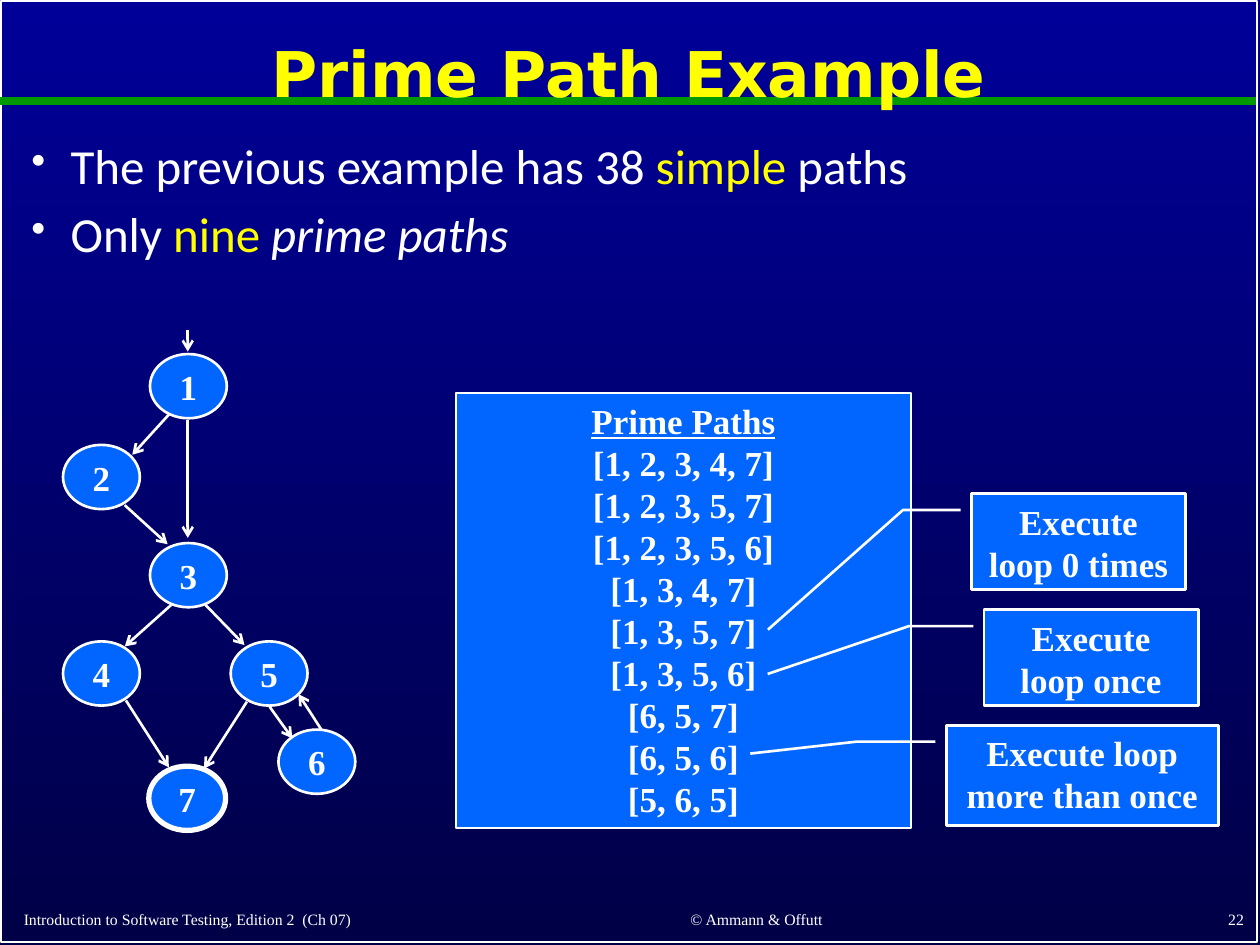
from lxml import etree
from pptx import Presentation
from pptx.dml import color
from pptx.enum import shapes, text
from pptx.oxml import ns
from pptx.util import Pt

WHITE, YELLOW, GREEN, BLUE = "FFFFFF", "FFFF00", "009900", "0066FF"
SERIF = "Times New Roman"
LEFT, CENTER, RIGHT = text.PP_ALIGN.LEFT, text.PP_ALIGN.CENTER, text.PP_ALIGN.RIGHT
TOP, MIDDLE, BOTTOM = text.MSO_ANCHOR.TOP, text.MSO_ANCHOR.MIDDLE, text.MSO_ANCHOR.BOTTOM


def rgb(hex_color):
    return color.RGBColor.from_string(hex_color)


def add_xml(parent, tag, **attrs):
    return etree.SubElement(parent, ns.qn(tag), attrs)


class Deck:
    """Holds the text style and the current slide."""

    def __init__(self, width, height, font=SERIF, size=20):
        self.prs = Presentation()
        self.prs.slide_width, self.prs.slide_height = Pt(width), Pt(height)
        self.s = self.prs.slides.add_slide(self.prs.slide_layouts[6])
        self.font, self.size = font, size

    def background(self, top, bottom):
        fill = self.s.background.fill
        fill.gradient()
        fill.gradient_angle = 270
        for stop, c in zip(fill.gradient_stops, (top, bottom)):
            stop.color.rgb = rgb(c)

    def run(self, p, words, c=WHITE, font=None, size=None, bold=True, italic=False, underline=False):
        r = p.add_run()
        r.text = words
        f = r.font
        f.name, f.size, f.color.rgb = font or self.font, Pt(size or self.size), rgb(c)
        f.bold, f.italic, f.underline = bold, italic, underline

    def paragraph(self, tf, first, align):
        p = tf.paragraphs[0] if first else tf.add_paragraph()
        p.alignment = align
        return p

    def textbox(self, box, anchor=TOP, wrap=True):
        tf = self.s.shapes.add_textbox(*map(Pt, box)).text_frame
        tf.word_wrap, tf.vertical_anchor = wrap, anchor
        return tf

    def label(self, words, box, align, anchor=BOTTOM, wrap=False, spacing=None, **style):
        p = self.paragraph(self.textbox(box, anchor, wrap), True, align)
        p.line_spacing = spacing
        self.run(p, words, **style)

    def bullets(self, items, box, indent=22.5):
        """Each item is a list of (words, style) runs."""
        tf = self.textbox(box)
        for i, item in enumerate(items):
            p = self.paragraph(tf, i == 0, LEFT)
            p.line_spacing, p.space_before = 0.9, Pt(8.4)
            pPr = p._p.get_or_add_pPr()
            pPr.set("marL", str(Pt(indent)))
            pPr.set("indent", str(-Pt(indent)))
            add_xml(pPr, "a:buSzPct", val="85000")
            add_xml(pPr, "a:buChar", char="•")
            for words, style in item:
                self.run(p, words, font="Calibri", size=28, bold=False, **style)

    def shape(self, kind, box, fill=BLUE, line=1.5):
        sp = self.s.shapes.add_shape(kind, *map(Pt, box))
        sp.shadow.inherit = False
        if fill:
            sp.fill.solid()
            sp.fill.fore_color.rgb = rgb(fill)
        else:
            sp.fill.background()
        sp.line.color.rgb, sp.line.width = rgb(WHITE), Pt(line)
        sp.text_frame.vertical_anchor = TOP
        return sp

    def node(self, name, x, y, line=1.5):
        sp = self.shape(shapes.MSO_SHAPE.OVAL, (x, y, 43.9, 36.7), line=line)
        tf = sp.text_frame
        tf.margin_left = tf.margin_right = tf.margin_top = tf.margin_bottom = 0
        tf.word_wrap, tf.vertical_anchor = False, MIDDLE
        self.run(self.paragraph(tf, True, CENTER), name)

    def panel(self, heading, rows, box):
        tf = self.shape(shapes.MSO_SHAPE.RECTANGLE, box, line=1).text_frame
        for i, row in enumerate([heading] + rows):
            self.run(self.paragraph(tf, i == 0, CENTER), row, underline=i == 0)

    def callout(self, words, box, pointer):
        """The pointer lists y, x pairs as fractions of the box."""
        sp = self.shape(shapes.MSO_SHAPE.LINE_CALLOUT_2, box)
        for i, value in enumerate(pointer):
            sp.adjustments[i] = value
        self.run(self.paragraph(sp.text_frame, True, CENTER), words)

    def line(self, x1, y1, x2, y2, c=WHITE, width=1.5, arrow=True):
        cx = self.s.shapes.add_connector(shapes.MSO_CONNECTOR.STRAIGHT, *map(Pt, (x1, y1, x2, y2)))
        cx.line.color.rgb, cx.line.width = rgb(c), Pt(width)
        if arrow:
            add_xml(cx.line._get_or_add_ln(), "a:tailEnd", type="arrow")
        add_xml(cx._element.spPr, "a:effectLst")


NODES = [("1", 85.7, 202.3), ("2", 36, 254.2), ("3", 85.7, 310.3), ("4", 36, 366.5),
         ("5", 131.8, 366.5), ("6", 159.1, 416.9), ("7", 85, 437.8, 3)]

EDGES = [
    (107.3, 188.6, 107.3, 200.9),  # entry to 1
    (96.5, 236.9, 75.6, 259.9),    # 1 to 2
    (107.3, 239.8, 107.3, 307.4),  # 1 to 3
    (71.3, 288.7, 95.8, 311),      # 2 to 3
    (97.9, 345.6, 71.3, 369.4),    # 3 to 4
    (117.4, 345.6, 139.7, 368.6),  # 3 to 5
    (72, 400.3, 96.5, 438.5),      # 4 to 7
    (141.1, 401, 116.6, 439.2),    # 5 to 7
    (154.1, 403.9, 167, 421.9),    # 5 to 6
    (183.6, 416.9, 170.6, 396.7),  # 6 to 5
]

PRIME_PATHS = ["[1, 2, 3, 4, 7]", "[1, 2, 3, 5, 7]", "[1, 2, 3, 5, 6]", "[1, 3, 4, 7]",
               "[1, 3, 5, 7]", "[1, 3, 5, 6]", "[6, 5, 7]", "[6, 5, 6]", "[5, 6, 5]"]

CALLOUTS = [
    ("Execute loop 0 times", (555.1, 282.2, 122.4, 54.7), (0.17, -0.05, 0.17, -0.32, 1.42, -0.95)),
    ("Execute loop once", (562.3, 348.5, 122.4, 54.7), (0.17, -0.05, 0.17, -0.35, 0.67, -1.01)),
    ("Execute loop more than once", (540.7, 414.7, 155.5, 56.9),
     (0.16, -0.04, 0.16, -0.33, 0.28, -0.72)),
]

FOOTERS = [
    ("Introduction to Software Testing, Edition 2  (Ch 07)", (6.5, 512.6, 296.6, 21.6), LEFT),
    ("© Ammann & Offutt", (318.2, 511.9, 228.2, 22.3), CENTER),
    ("22", (568.1, 511.2, 149.8, 23), RIGHT),
]


def main():
    d = Deck(720, 540)
    d.background("000099", "000046")
    d.shape(shapes.MSO_SHAPE.RECTANGLE, (0.7, 0.7, 717.8, 537.8), fill=None, line=1)
    d.line(0, 57.6, 717.8, 57.6, c=GREEN, width=4.5, arrow=False)
    for words, box, align in FOOTERS:
        d.label(words, box, align, size=9, bold=False)
    d.label("Prime Path Example", (6.5, 7.9, 705.6, 72), CENTER, MIDDLE, wrap=True,
            spacing=0.9, c=YELLOW, font="DejaVu Sans", size=36)
    d.bullets([
        [("The previous example has 38 ", {}), ("simple", {"c": YELLOW}), (" paths", {})],
        [("Only ", {}), ("nine ", {"c": YELLOW}), ("prime paths", {"italic": True})],
    ], (10.8, 77.8, 698.4, 407.5))
    d.panel("Prime Paths", PRIME_PATHS, (260.6, 224.6, 259.9, 248.4))
    for callout in CALLOUTS:
        d.callout(*callout)
    for node in NODES:
        d.node(*node)
    for edge in EDGES:
        d.line(*edge)
    d.prs.save("out.pptx")


if __name__ == "__main__":
    main()
